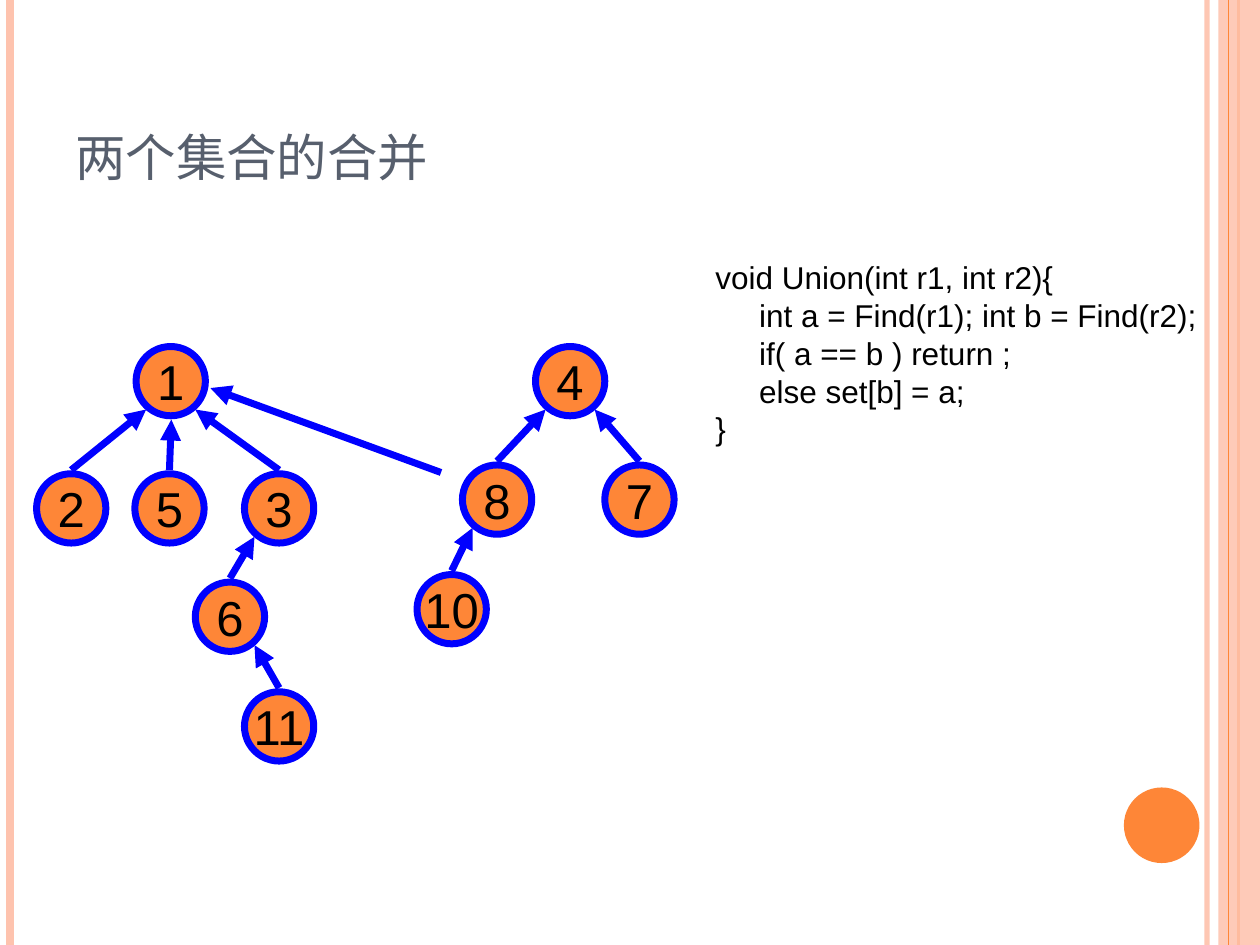
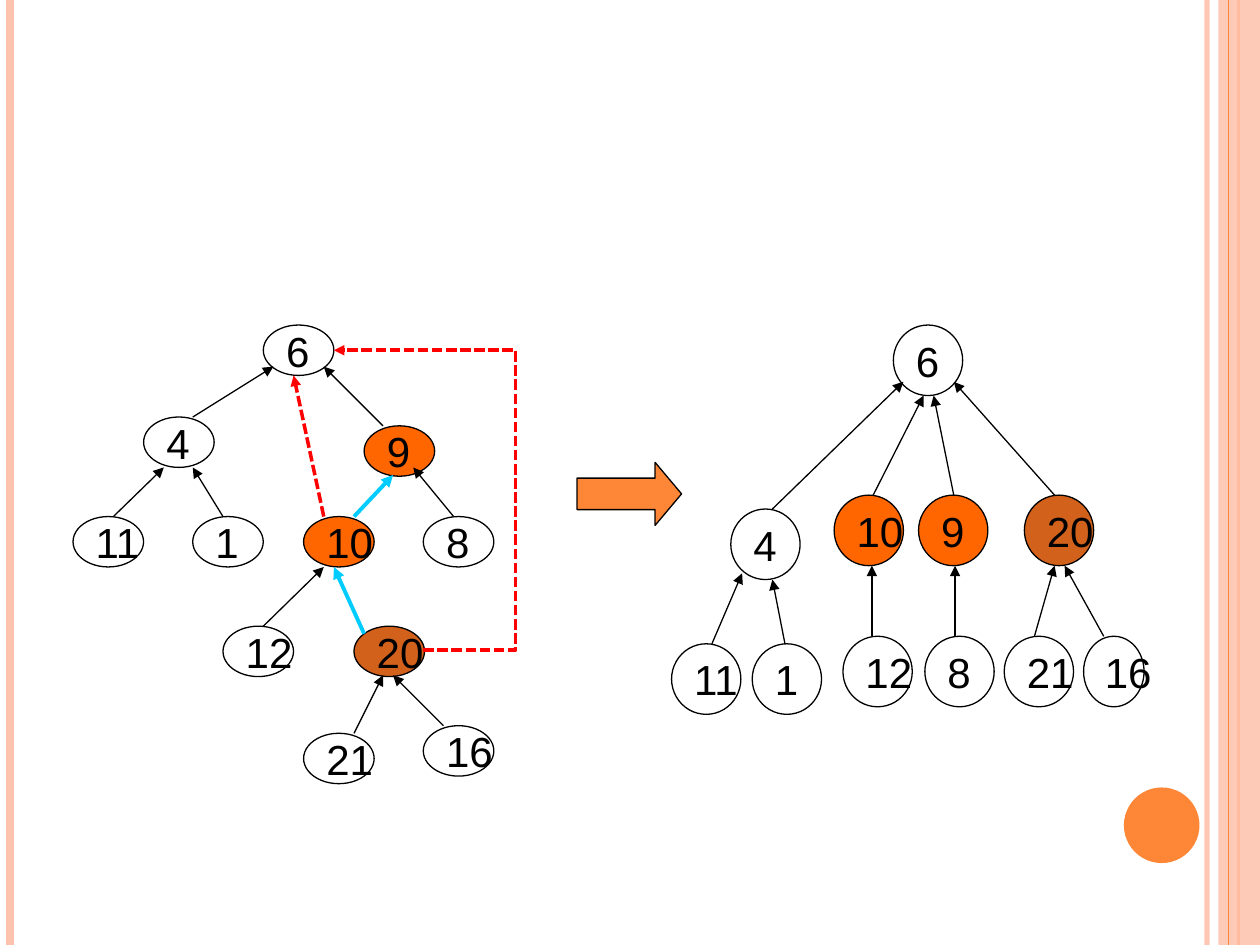
from dataclasses import dataclass
from typing import NamedTuple

from lxml.etree import SubElement
from pptx import Presentation
from pptx.dml.color import RGBColor
from pptx.enum.dml import MSO_LINE
from pptx.enum.shapes import MSO_CONNECTOR as CONN, MSO_SHAPE as SHAPE
from pptx.enum.text import MSO_ANCHOR as ANCHOR, PP_ALIGN as ALIGN
from pptx.oxml.ns import qn
from pptx.util import Inches, Pt


@dataclass(frozen=True)
class Theme:
    font: str = "Arial"
    background: str = "FFFFFF"
    text: str = "000000"
    title: str = "575F6D"
    orange: str = "FE8637"
    peach: str = "FEC3AE"
    blue: str = "0000FF"
    bright: str = "FF6600"
    rust: str = "D2611C"
    cyan: str = "00CCFF"
    red: str = "FF0000"
    title_size: int = 36
    root_size: int = 28
    tree_size: int = 24
    code_size: int = 18


T = Theme()


class NodeStyle(NamedTuple):
    width: float
    height: float
    line: str
    line_width: float
    size: int
    align: ALIGN


class Node(NamedTuple):
    label: str
    x: float
    y: float
    fill: str = T.background
    width: float | None = None


class Link(NamedTuple):
    x1: float
    y1: float
    x2: float
    y2: float
    color: str = T.text
    width: float = 0.75
    arrow: bool = True
    dashed: bool = False
    opacity: int = 100
    bend: float | None = None


SET_STYLE = NodeStyle(0.55, 0.55, T.blue, 4, T.root_size, ALIGN.CENTER)
BEFORE_STYLE = NodeStyle(0.56, 0.4, T.text, 0.75, T.tree_size, ALIGN.LEFT)
AFTER_STYLE = BEFORE_STYLE._replace(width=0.55, height=0.56)

SLIDE_W, SLIDE_H = 10, 7.5


def rule(x: float, color: str, width: float, opacity: int = 100) -> Link:
    """A full-height vertical line."""
    return Link(x, 0, x, SLIDE_H, color, width, arrow=False, opacity=opacity)


RULES_BELOW_BAND = [rule(9.58, T.peach, 3, 93), rule(0.08, T.peach, 4.5), rule(9.83, T.orange, 1.5)]
RULE_ON_BAND = rule(9.75, T.orange, 0.75)

SET_NODES = [Node(label, x, y, T.orange) for label, x, y in (
    ("1", 1.08, 2.75), ("2", 0.29, 3.76), ("3", 1.94, 3.76), ("5", 1.07, 3.76),
    ("6", 1.55, 4.62), ("4", 4.25, 2.75), ("8", 3.67, 3.69), ("7", 4.8, 3.69),
    ("10", 3.31, 4.56), ("11", 1.94, 5.49))]
SET_PARENTS = {"2": "1", "5": "1", "3": "1", "6": "3", "11": "6", "8": "4", "7": "4", "10": "8"}
UNION_LINK = Link(3.5, 3.75, 1.67, 3.08, T.blue, 4)

UNION_CODE = """void Union(int r1, int r2){
     int a = Find(r1); int b = Find(r2);
     if( a == b ) return ;
     else set[b] = a;
}"""

BEFORE_NODES = [
    Node("6", 2.09, 2.58), Node("4", 1.14, 3.31), Node("9", 2.89, 3.38, T.bright),
    Node("11", 0.58, 4.1), Node("1", 1.53, 4.1), Node("10", 2.41, 4.1, T.bright),
    Node("8", 3.36, 4.1), Node("12", 1.77, 4.97), Node("20", 2.81, 4.97, T.rust),
    Node("21", 2.41, 5.82), Node("16", 3.36, 5.76)]
BEFORE_LINKS = [
    Link(1.53, 3.31, 2.17, 2.91), Link(3.04, 3.38, 2.57, 2.91),
    Link(0.9, 4.1, 1.3, 3.71), Link(1.77, 4.1, 1.53, 3.71),
    Link(2.81, 4.1, 3.12, 3.77, T.cyan, 2.25), Link(3.6, 4.1, 3.28, 3.71),
    Link(2.09, 4.97, 2.57, 4.5), Link(2.89, 5.03, 2.65, 4.5, T.cyan, 2.25),
    Link(2.81, 5.82, 3.04, 5.36), Link(3.52, 5.76, 3.12, 5.36)]
COMPRESSION_LINKS = [
    Link(3.36, 5.16, 2.65, 2.78, T.red, 2, dashed=True, bend=-1.03),
    Link(2.57, 4.1, 2.33, 2.98, T.red, 2, dashed=True)]

AFTER_NODES = [
    Node("6", 7.09, 2.58), Node("4", 5.8, 4.04), Node("10", 6.62, 3.93, T.bright),
    Node("9", 7.29, 3.93, T.bright), Node("20", 8.13, 3.93, T.rust),
    Node("11", 5.33, 5.11), Node("1", 5.97, 5.11), Node("12", 6.69, 5.05),
    Node("8", 7.34, 5.05), Node("21", 7.97, 5.05), Node("16", 8.6, 5.05, width=0.48)]
AFTER_LINKS = [
    Link(6.13, 4.04, 7.17, 3.03), Link(6.93, 3.93, 7.33, 3.14),
    Link(7.57, 3.93, 7.41, 3.14), Link(8.37, 3.93, 7.57, 3.03),
    Link(5.65, 5.11, 5.89, 4.55), Link(6.23, 5.11, 6.13, 4.6),
    Link(6.92, 5.05, 6.92, 4.49), Link(7.58, 5.05, 7.58, 4.49),
    Link(8.21, 5.05, 8.37, 4.49), Link(8.76, 5.05, 8.45, 4.49)]


def rgb(color: str) -> RGBColor:
    return RGBColor.from_string(color)


def set_opacity(shape, percent: int) -> None:
    color = next(shape.element.spPr.iter(qn("a:srgbClr")))
    SubElement(color, qn("a:alpha")).set("val", str(percent * 1000))


def style_text(tf, size: int, color: str, align: ALIGN = ALIGN.LEFT) -> None:
    for p in tf.paragraphs:
        p.alignment = align
        for r in p.runs:
            r.font.name = T.font
            r.font.size = Pt(size)
            r.font.color.rgb = rgb(color)


def add_filled(shapes, kind: SHAPE, x: float, y: float, w: float, h: float, fill: str,
               line: str | None = None, line_width: float = 0.75):
    sp = shapes.add_shape(kind, Inches(x), Inches(y), Inches(w), Inches(h))
    sp.shadow.inherit = False
    sp.fill.solid()
    sp.fill.fore_color.rgb = rgb(fill)
    if line:
        sp.line.color.rgb = rgb(line)
        sp.line.width = Pt(line_width)
    else:
        sp.line.fill.background()
    return sp


def add_link(shapes, link: Link) -> None:
    kind = CONN.STRAIGHT if link.bend is None else CONN.ELBOW
    c = shapes.add_connector(kind, Inches(link.x1), Inches(link.y1), Inches(link.x2), Inches(link.y2))
    c.line.color.rgb = rgb(link.color)
    c.line.width = Pt(link.width)
    if link.dashed:
        c.line.dash_style = MSO_LINE.SQUARE_DOT
    props = c.element.spPr
    if link.arrow:
        SubElement(props.find(qn("a:ln")), qn("a:tailEnd")).set("type", "triangle")
    if link.bend is not None:
        guide = SubElement(next(props.iter(qn("a:avLst"))), qn("a:gd"))
        guide.set("name", "adj1")
        guide.set("fmla", f"val {round(link.bend * 100000)}")
    if link.opacity < 100:
        set_opacity(c, link.opacity)
    SubElement(props, qn("a:effectLst"))


def add_node(shapes, node: Node, style: NodeStyle) -> None:
    sp = add_filled(shapes, SHAPE.OVAL, node.x, node.y, node.width or style.width, style.height,
                    node.fill, style.line, style.line_width)
    tf = sp.text_frame
    tf.text = node.label
    tf.word_wrap = False
    tf.vertical_anchor = ANCHOR.MIDDLE
    style_text(tf, style.size, T.text, style.align)


def add_tree(shapes, nodes: list[Node], links: list[Link], style: NodeStyle) -> None:
    for node in nodes:
        add_node(shapes, node, style)
    for link in links:
        add_link(shapes, link)


def add_text(s, text: str, x: float, y: float, w: float, h: float, size: int, color: str):
    tf = s.shapes.add_textbox(Inches(x), Inches(y), Inches(w), Inches(h)).text_frame
    tf.word_wrap = True
    tf.text = text
    style_text(tf, size, color)
    return tf


def add_title(s, text: str) -> None:
    tf = add_text(s, text, 0.5, 0.3, 8.17, 1.25, T.title_size, T.title)
    tf.vertical_anchor = ANCHOR.BOTTOM
    tf.paragraphs[0].runs[0].font._element.set("cap", "small")


def parent_link(child: Node, parent: Node) -> Link:
    """An arrow from above the child to the nearest lower edge of its parent."""
    shift = child.x - parent.x
    if abs(shift) < 0.05:
        dx, dy = 0.28, 0.58
    else:
        dx, dy = (0.08 if shift < 0 else 0.47), 0.5
    return Link(child.x + SET_STYLE.width / 2, child.y - 0.03,
                parent.x + dx, parent.y + dy, T.blue, 4)


def new_slide(prs):
    """A blank slide with the side bands and the corner disc."""
    s = prs.slides.add_slide(prs.slide_layouts[6])
    s.background.fill.solid()
    s.background.fill.fore_color.rgb = rgb(T.background)
    for line in RULES_BELOW_BAND:
        add_link(s.shapes, line)
    band = add_filled(s.shapes, SHAPE.RECTANGLE, 9.67, 0, 0.33, SLIDE_H, T.peach)
    set_opacity(band, 87)
    add_link(s.shapes, RULE_ON_BAND)
    add_filled(s.shapes, SHAPE.OVAL, 8.92, 6.25, 0.6, 0.6, T.orange)
    return s


def build_union(prs) -> None:
    s = new_slide(prs)
    add_text(s, UNION_CODE, 5.58, 2, 4.17, 1.62, T.code_size, T.text)
    by_label = {node.label: node for node in SET_NODES}
    links = [parent_link(by_label[child], by_label[parent]) for child, parent in SET_PARENTS.items()]
    add_tree(s.shapes, SET_NODES, links + [UNION_LINK], SET_STYLE)
    add_title(s, "两个集合的合并")


def build_path_compression(prs) -> None:
    s = new_slide(prs)
    add_tree(s.shapes.add_group_shape().shapes, BEFORE_NODES, BEFORE_LINKS, BEFORE_STYLE)
    for link in COMPRESSION_LINKS:
        add_link(s.shapes, link)
    add_tree(s.shapes.add_group_shape().shapes, AFTER_NODES, AFTER_LINKS, AFTER_STYLE)
    arrow = add_filled(s.shapes, SHAPE.RIGHT_ARROW, 4.58, 3.67, 0.83, 0.5, T.orange, T.text)
    arrow.adjustments[0], arrow.adjustments[1] = 0.5, 0.42


def main() -> None:
    prs = Presentation()
    prs.slide_width, prs.slide_height = Inches(SLIDE_W), Inches(SLIDE_H)
    build_union(prs)
    build_path_compression(prs)
    prs.save("out.pptx")


if __name__ == "__main__":
    main()
